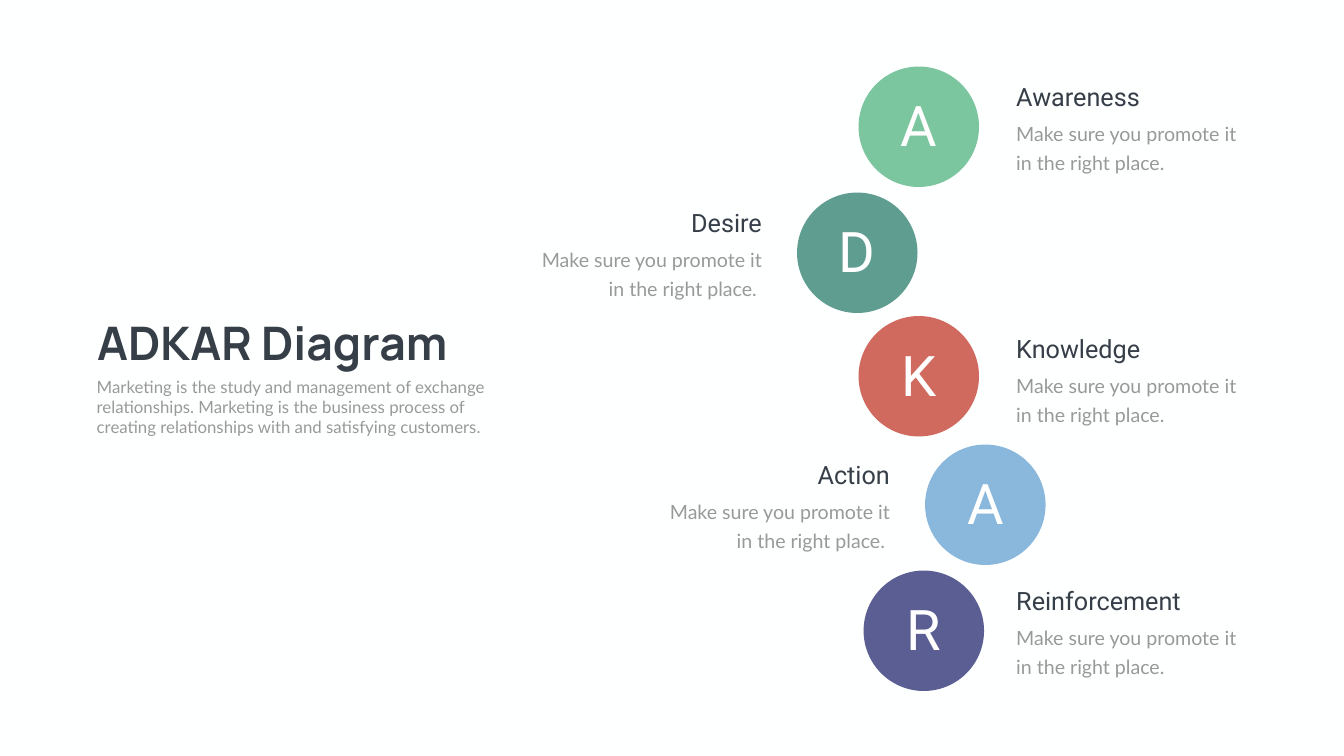
import pptx
import pptx.util
import pptx.dml.color
import pptx.enum.shapes
import pptx.enum.text

Inches = pptx.util.Inches
Pt = pptx.util.Pt
ALIGN = pptx.enum.text.PP_ALIGN

COLORS = {
    "background": "FEFFFF", "heading": "363E48", "body": "999999", "letter": "FFFFFF",
    "green": "7BC59F", "teal": "5F9D91", "red": "D06A5F", "blue": "8AB7DC", "violet": "5B5E93",
}
TITLE = "ADKAR Diagram"
INTRO = ("Marketing is the study and management of exchange relationships. "
         "Marketing is the business process of creating relationships with "
         "and satisfying customers.")
DETAIL = "Make sure you promote it in the right place."

STAGES = [
    {"name": "Awareness", "color": "green", "left": 17.03, "nudge": 0, "side": "right"},
    {"name": "Desire", "color": "teal", "left": 15.81, "nudge": 0, "side": "left"},
    {"name": "Knowledge", "color": "red", "left": 17.03, "nudge": -0.05, "side": "right"},
    {"name": "Action", "color": "blue", "left": 18.35, "nudge": 0, "side": "left"},
    {"name": "Reinforcement", "color": "violet", "left": 17.13, "nudge": 0, "side": "right"},
]
FIRST_ROW, ROW_PITCH = 1.32, 2.5
DIAMETER = 2.39
LETTER_WIDTH, LETTER_HEIGHT, LETTER_DROP = 1.49, 1.45, 0.43
CAPTION_WIDTH, CAPTION_DROP, CAPTION_GAP = 4.81, 0.24, 0.6
NAME_HEIGHT, DETAIL_HEIGHT = 0.71, 1.19
RIGHT_COLUMN = 20.06


def color_of(name):
    return pptx.dml.color.RGBColor.from_string(COLORS[name])


def add_text(slide, text, *, box, size, font, color, align=ALIGN.LEFT,
             bold=False, line_spacing=None, wrap=True):
    shape = slide.shapes.add_textbox(*map(Inches, box))
    shape.text_frame.word_wrap = wrap
    paragraph = shape.text_frame.paragraphs[0]
    paragraph.alignment = align
    if line_spacing:
        paragraph.line_spacing = Pt(line_spacing)
    run = paragraph.add_run()
    run.text = text
    run.font.name = font
    run.font.size = Pt(size)
    run.font.bold = bold
    run.font.color.rgb = color_of(color)


def add_stage(slide, stage, top):
    left = stage["left"]
    circle_top = top + stage["nudge"]
    circle = slide.shapes.add_shape(
        pptx.enum.shapes.MSO_SHAPE.OVAL,
        *map(Inches, (left, circle_top, DIAMETER, DIAMETER)))
    circle.shadow.inherit = False
    circle.fill.solid()
    circle.fill.fore_color.rgb = color_of(stage["color"])
    circle.line.fill.background()
    add_text(slide, stage["name"][0], size=80, font="Roboto", color="letter", align=ALIGN.CENTER,
             box=(left + (DIAMETER - LETTER_WIDTH) / 2, circle_top + LETTER_DROP,
                  LETTER_WIDTH, LETTER_HEIGHT))

    if stage["side"] == "right":
        caption_left, align, detail = RIGHT_COLUMN, ALIGN.LEFT, DETAIL
    else:
        caption_left = left - CAPTION_GAP - CAPTION_WIDTH
        align, detail = ALIGN.RIGHT, DETAIL + " "
    caption_top = top + CAPTION_DROP
    add_text(slide, stage["name"], size=36, font="Roboto", color="heading", align=align,
             box=(caption_left, caption_top, CAPTION_WIDTH, NAME_HEIGHT))
    add_text(slide, detail, size=28, font="Lato", color="body", align=align, line_spacing=40.8,
             box=(caption_left, caption_top + NAME_HEIGHT, CAPTION_WIDTH, DETAIL_HEIGHT))


def main():
    presentation = pptx.Presentation()
    presentation.slide_width = Inches(26.66)
    presentation.slide_height = Inches(15)
    slide = presentation.slides.add_slide(presentation.slide_layouts[6])
    slide.background.fill.solid()
    slide.background.fill.fore_color.rgb = color_of("background")

    add_text(slide, TITLE, box=(1.83, 6.18, 7.86, 1.21), size=66, font="Manrope",
             color="heading", bold=True, wrap=False)
    add_text(slide, INTRO, box=(1.82, 7.42, 8.59, 1.31), size=24, font="Lato", color="body")
    for row, stage in enumerate(STAGES):
        add_stage(slide, stage, FIRST_ROW + row * ROW_PITCH)
    presentation.save("out.pptx")


if __name__ == "__main__":
    main()
